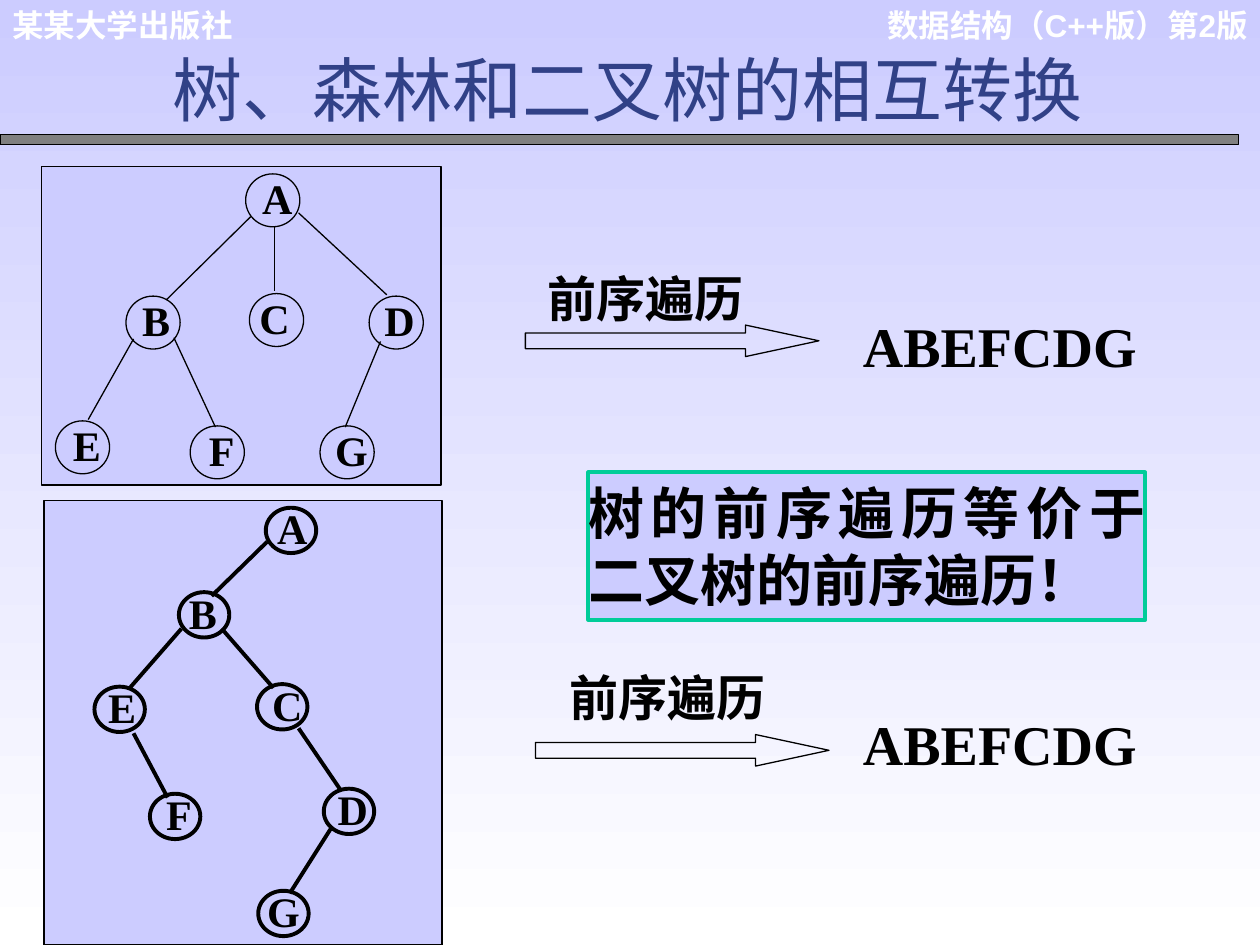
import pptx
import pptx.dml.color
import pptx.enum.shapes
import pptx.enum.text
import pptx.util
from lxml import etree

SHAPE = pptx.enum.shapes.MSO_SHAPE
ALIGN = pptx.enum.text.PP_ALIGN
COLUMNS, ROWS = 1000, 750  # the slide's grid; all boxes are in columns and rows
SERIF, SANS, CJK = "Times New Roman", "Arial", "Noto Sans CJK SC"
BLACK, WHITE, LILAC, GREEN, GREY, NAVY = (
    "000000", "FFFFFF", "CCCCFF", "00CC99", "808080", "314187")

prs = pptx.Presentation()
prs.slide_width = pptx.util.Inches(10)
prs.slide_height = pptx.util.Inches(7.5)
CELL_W = prs.slide_width // COLUMNS
CELL_H = prs.slide_height // ROWS


def rgb(value):
    return pptx.dml.color.RGBColor.from_string(value)


def on_grid(*cells):
    """Turn alternating columns and rows into lengths."""
    return [cell * (CELL_H if i % 2 else CELL_W) for i, cell in enumerate(cells)]


def write(shape, words, size, font=SERIF, color=BLACK, bold=True,
          align=ALIGN.LEFT, insets=(10, 5, 10, 5)):
    frame = shape.text_frame
    frame.word_wrap = True
    frame.vertical_anchor = pptx.enum.text.MSO_ANCHOR.TOP
    (frame.margin_left, frame.margin_top,
     frame.margin_right, frame.margin_bottom) = on_grid(*insets)
    frame.text = words
    paragraph = frame.paragraphs[0]
    paragraph.alignment = align
    run_font = paragraph.runs[0].font
    run_font.size = pptx.util.Pt(size)
    run_font.bold = bold
    run_font.color.rgb = rgb(color)
    run_font.name = font
    east_asian = etree.SubElement(paragraph.runs[0]._r.rPr, pptx.oxml.ns.qn("a:ea"))
    east_asian.set("typeface", CJK)


def add_text(shapes, box, words, size, **style):
    write(shapes.add_textbox(*on_grid(*box)), words, size, **style)


def add_outline(shapes, kind, box, fill=None, line=BLACK, weight=0.75):
    shape = shapes.add_shape(kind, *on_grid(*box))
    shape.shadow.inherit = False
    if fill:
        shape.fill.solid()
        shape.fill.fore_color.rgb = rgb(fill)
    else:
        shape.fill.background()
    shape.line.color.rgb = rgb(line)
    shape.line.width = pptx.util.Pt(weight)
    return shape


def add_edge(shapes, ends, weight):
    edge = shapes.add_connector(pptx.enum.shapes.MSO_CONNECTOR.STRAIGHT, *on_grid(*ends))
    edge.line.color.rgb = rgb(BLACK)
    edge.line.width = pptx.util.Pt(weight)
    etree.SubElement(edge._element.spPr, pptx.oxml.ns.qn("a:effectLst"))


def header(slide):
    add_text(slide.shapes, (689, 0, 311, 70), "数据结构（C++版）第2版", 18,
             font=SANS, color=WHITE, align=ALIGN.RIGHT)
    add_text(slide.shapes, (0, 0, 271, 40), "某某大学出版社", 18, font=SANS, color=WHITE)
    add_outline(slide.shapes, SHAPE.RECTANGLE, (0, 107, 983, 8), fill=GREY)
    add_text(slide.shapes, (17, 32, 962, 77), "树、森林和二叉树的相互转换", 40,
             font=CJK, color=NAVY, bold=False, align=ALIGN.CENTER)


def tree_panel(slide, box, nodes, edges, node_size, letter_size, rise, insets, weight):
    """Nodes are letter: (column, row, letter shift); all places count from the box."""
    shapes = slide.shapes.add_group_shape().shapes
    left, top = box[:2]
    add_outline(shapes, SHAPE.RECTANGLE, box, fill=LILAC)
    for letter, (column, row, shift) in nodes.items():
        x, y = left + column, top + row
        add_text(shapes, (x + shift, y - rise, *letter_size), letter, 24,
                 align=ALIGN.CENTER, insets=insets)
        add_outline(shapes, SHAPE.OVAL, (x, y, *node_size), weight=weight)
    for x1, y1, x2, y2 in edges:
        add_edge(shapes, (left + x1, top + y1, left + x2, top + y2), weight)


def traversal(slide, arrow_at, label_box, result_box):
    """A labelled arrow and the sequence it leads to."""
    shapes = slide.shapes.add_group_shape().shapes
    arrow = add_outline(shapes, SHAPE.RIGHT_ARROW, (*arrow_at, 233, 25))
    arrow.adjustments[0] = 0.5
    arrow.adjustments[1] = 2.33
    add_text(shapes, label_box, "前序遍历", 28)
    add_text(slide.shapes, result_box, "ABEFCDG", 32)


def conclusion(slide, box):
    panel = add_outline(slide.shapes, SHAPE.RECTANGLE, box, LILAC, GREEN, 2.25)
    write(panel, "树的前序遍历等价于二叉树的前序遍历！", 32,
          align=ALIGN.JUSTIFY, insets=(0, 5, 0, 5))


def main():
    slide = prs.slides.add_slide(prs.slide_layouts[6])
    backdrop = slide.background.fill
    backdrop.gradient()
    backdrop.gradient_angle = 270
    for stop, color in zip(backdrop.gradient_stops, (LILAC, WHITE)):
        stop.color.rgb = rgb(color)

    header(slide)
    tree_panel(
        slide, (33, 132, 317, 253),
        nodes={"A": (162, 6, 7), "B": (67, 103, 6), "C": (165, 101, 2),
               "D": (260, 103, 6), "E": (11, 202, 7), "F": (118, 206, 7),
               "G": (221, 206, 7)},
        edges=[(166, 40, 99, 106), (185, 48, 185, 99), (204, 37, 274, 102),
               (73, 137, 37, 201), (105, 136, 138, 207), (269, 139, 241, 207)],
        node_size=(43, 42), letter_size=(36, 50), rise=8,
        insets=(4, 7, 4, 1), weight=0.75)
    traversal(slide, (417, 258), (425, 208, 192, 57), (675, 242, 267, 64))
    tree_panel(
        slide, (35, 397, 316, 353),
        nodes={"A": (176, 6, 4), "B": (107, 73, 2), "C": (169, 146, 7),
               "D": (222, 229, 6), "E": (40, 148, 5), "F": (84, 233, 6),
               "G": (170, 310, 3)},
        edges=[(177, 33, 133, 76), (109, 102, 68, 149), (141, 102, 182, 149),
               (71, 185, 98, 236), (202, 181, 236, 231), (228, 260, 195, 312)],
        node_size=(40, 36), letter_size=(34, 44), rise=7,
        insets=(2, 3, 2, 1), weight=2.25)
    traversal(slide, (425, 583), (442, 525, 183, 57), (675, 558, 258, 64))
    conclusion(slide, (467, 375, 442, 117))
    prs.save("out.pptx")


if __name__ == "__main__":
    main()
